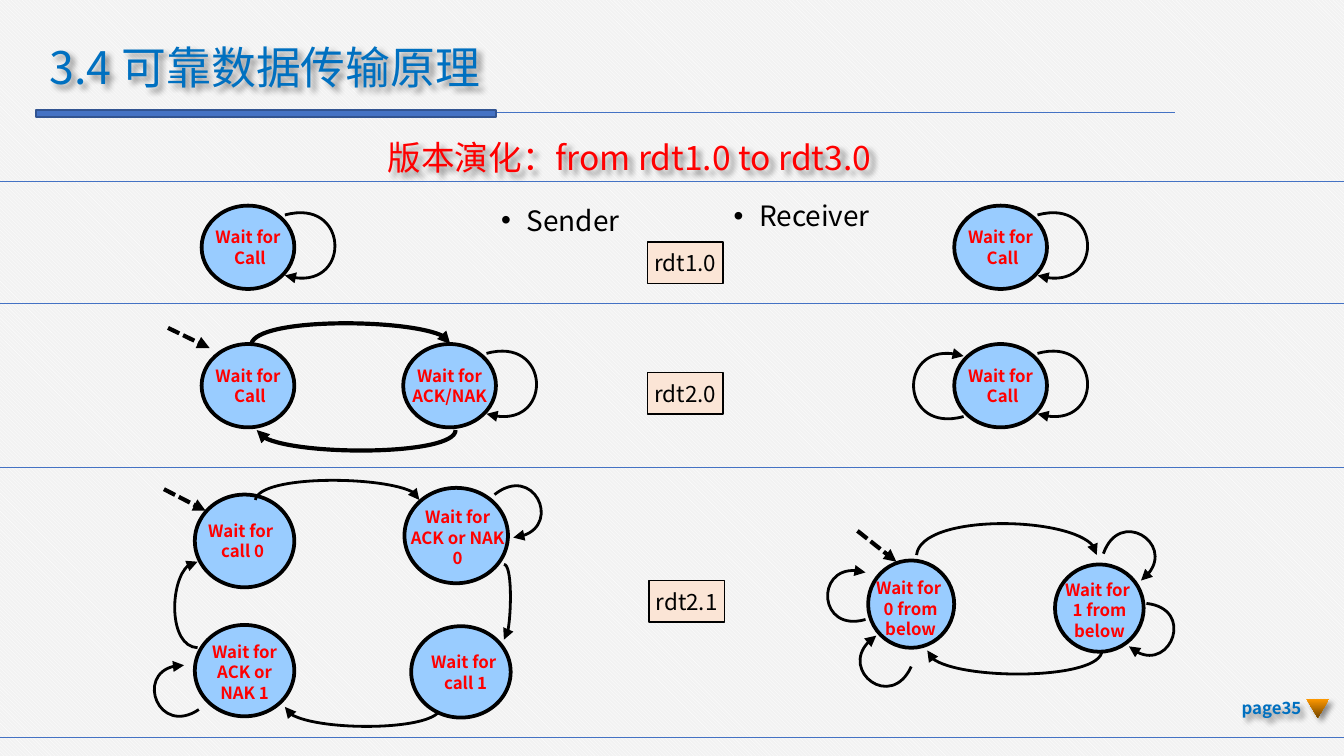
from lxml import etree
from pptx import Presentation
from pptx.dml.color import RGBColor
from pptx.enum.dml import MSO_LINE, MSO_PATTERN
from pptx.enum.shapes import MSO_CONNECTOR, MSO_SHAPE
from pptx.enum.text import MSO_ANCHOR, PP_ALIGN
from pptx.oxml import parse_xml
from pptx.oxml.ns import nsdecls, qn
from pptx.util import Inches, Pt

FONT = "Noto Sans CJK SC"
BLACK, RED, BLUE, RULE = "000000", "FF0000", "0070C0", "4472C4"
STATE_FILL, VERSION_FILL = "99CCFF", "FBE5D6"
LEFT, CENTER, RIGHT = PP_ALIGN.LEFT, PP_ALIGN.CENTER, PP_ALIGN.RIGHT
TOP, MIDDLE = MSO_ANCHOR.TOP, MSO_ANCHOR.MIDDLE
OVAL, RECTANGLE, MERGE = MSO_SHAPE.OVAL, MSO_SHAPE.RECTANGLE, MSO_SHAPE.FLOWCHART_MERGE
SHADOW = (f'<a:outerShdw {nsdecls("a")} blurRad="38100" dist="38100" dir="2700000" algn="tl">'
          '<a:srgbClr val="000000"><a:alpha val="43000"/></a:srgbClr></a:outerShdw>')

STATE_SIZE = (0.69, 0.62)
CALL = ["Wait for", " Call"]
SIMPLE_STATES = [
    (1.5, 1.53, CALL, True), (7.1, 1.53, CALL, True), (1.5, 2.56, CALL, False),
    (3, 2.56, ["Wait for", "ACK/NAK"], True), (7.1, 2.56, CALL, True),
]
SELF_LOOP = [(0.62, 0.07), (1.09, -0.06), (1.12, 0.67), (0.62, 0.52)]
SENDER_TOP_STATES = [
    ((1.45, 3.68, 0.74, 0.69), (1.4, 3.82, 0.81, 0.5), ["Wait for ", "call 0"]),
    ((3.01, 3.63, 0.77, 0.71), (2.95, 3.72, 0.91, 0.54), ["Wait for ACK or NAK 0"]),
]
OTHER_STATES = [
    ((3.06, 4.66, 0.74, 0.68), (2.99, 4.8, 0.92, 0.5), ["Wait for", " call 1"]),
    ((1.45, 4.65, 0.74, 0.68), (1.39, 4.72, 0.86, 0.5), ["Wait for ACK or NAK 1"]),
    ((6.46, 4.17, 0.64, 0.65), (6.4, 4.25, 0.75, 0.5), ["Wait for ", "0 from below"]),
    ((7.85, 4.2, 0.66, 0.65), (7.79, 4.26, 0.78, 0.5), ["Wait for ", "1 from below"]),
]
TRANSITIONS = [
    (2.25, [(1.87, 2.56), (1.91, 2.36), (3.35, 2.37), (3.35, 2.56)]),
    (2.25, [(3.39, 3.2), (3.39, 3.39), (1.95, 3.4), (1.91, 3.2)]),
    (1.5, [(7.17, 3.1), (6.7, 3.23), (6.67, 2.5), (7.17, 2.65)]),
    (1.5, [(1.9, 3.72), (1.93, 3.53), (3.12, 3.54), (3.12, 3.72)]),
    (1.5, [(3.68, 3.68), (3.97, 3.45), (4.21, 3.96), (3.82, 4)]),
    (1.5, [(1.47, 4.82), (1.25, 4.81), (1.26, 4.18), (1.47, 4.18)]),
    (1.5, [(3.28, 5.26), (3.28, 5.44), (2.15, 5.45), (2.12, 5.26)]),
    (1.5, [(3.75, 4.2), (3.81, 4.2), (3.81, 4.75), (3.75, 4.76)]),
    (1.5, [(1.48, 5.28), (1.18, 5.48), (0.98, 4.95), (1.37, 4.95)]),
    (1.5, [(8.2, 4.84), (8.2, 5.06), (6.92, 5.07), (6.9, 4.84)]),
    (1.5, [(6.44, 4.61), (6.09, 4.71), (6.06, 4.15), (6.44, 4.26)]),
    (1.5, [(8.21, 4.12), (8.33, 3.78), (8.8, 4.08), (8.49, 4.32)]),
    (1.5, [(8.53, 4.49), (8.89, 4.53), (8.69, 5.06), (8.4, 4.81)]),
    (1.5, [(6.82, 4.13), (6.85, 3.82), (8.16, 3.84), (8.16, 4.13)]),
    (1.5, [(6.78, 4.96), (6.63, 5.29), (6.19, 4.95), (6.52, 4.73)]),
]
START_ARROWS = [(1.25, 2.44, 1.56, 2.59), (1.22, 3.64, 1.53, 3.8), (6.38, 3.95, 6.67, 4.18)]
ROW_RULES = [1.35, 2.26, 3.48, 5.49]
VERSIONS = [(4.82, 1.8, "rdt1.0"), (4.82, 2.77, "rdt2.0"), (4.83, 4.32, "rdt2.1")]
ROLES = [((3.63, 1.49, 1.62, 0.36), "Sender"), ((5.36, 1.46, 1.3, 0.36), "Receiver")]


def rgb(value):
    return RGBColor.from_string(value)


def set_line(shape, color, width):
    shape.line.color.rgb = rgb(color)
    shape.line.width = Pt(width)


def add_arrowhead(shape):
    outline = shape.element.find(".//" + qn("a:ln"))
    etree.SubElement(outline, qn("a:tailEnd"), type="triangle")


def add_shadow(shape):
    shape.shadow.inherit = False
    shape.element.find(".//" + qn("a:effectLst")).append(parse_xml(SHADOW))


def write(shape, lines, size, color, bold=False, align=LEFT, anchor=TOP, wrap=True, spacing=None):
    frame = shape.text_frame
    frame.word_wrap = wrap
    frame.vertical_anchor = anchor
    frame.margin_left = frame.margin_right = Inches(0.1)
    frame.margin_top = frame.margin_bottom = Inches(0.05)
    for index, line in enumerate(lines):
        paragraph = frame.add_paragraph() if index else frame.paragraphs[0]
        paragraph.alignment = align
        if spacing:
            paragraph.line_spacing = spacing
        run = paragraph.add_run()
        run.text = line
        run.font.size = Pt(size)
        run.font.bold = bold
        run.font.color.rgb = rgb(color)
        run.font.name = FONT
        etree.SubElement(run._r.get_or_add_rPr(), qn("a:ea"), typeface=FONT)


def write_state(shape, lines, **options):
    write(shape, lines, 9, RED, bold=True, align=CENTER, spacing=Pt(11), **options)


def add_box(kind, box, fill, line_color, width):
    shape = slide.shapes.add_shape(kind, *map(Inches, box))
    shape.shadow.inherit = False
    shape.fill.solid()
    shape.fill.fore_color.rgb = rgb(fill)
    set_line(shape, line_color, width)
    return shape


def add_text(box, lines, size, color, **options):
    shape = slide.shapes.add_textbox(*map(Inches, box))
    write(shape, lines, size, color, **options)
    return shape


def add_straight(ends, color, width):
    connector = slide.shapes.add_connector(MSO_CONNECTOR.STRAIGHT, *map(Inches, ends))
    set_line(connector, color, width)
    etree.SubElement(connector.element.spPr, qn("a:effectLst"))
    return connector


def add_transition(points, width):
    start, *rest = [(Inches(x), Inches(y)) for x, y in points]
    builder = slide.shapes.build_freeform(*start)
    builder.add_line_segments(rest, close=False)
    shape = builder.convert_to_shape()
    outline = shape.element.find(".//" + qn("a:path"))
    curve = etree.SubElement(outline, qn("a:cubicBezTo"))
    for segment in outline.findall(qn("a:lnTo")):
        curve.append(segment[0])
        outline.remove(segment)
    shape.fill.background()
    set_line(shape, BLACK, width)
    shape.shadow.inherit = False
    add_arrowhead(shape)


def add_labelled_states(states):
    for oval, label, lines in states:
        add_box(OVAL, oval, STATE_FILL, BLACK, 2)
        write_state(slide.shapes.add_textbox(*map(Inches, label)), lines)


presentation = Presentation()
presentation.slide_width, presentation.slide_height = Inches(10), Inches(10 * 9 / 16)
slide = presentation.slides.add_slide(presentation.slide_layouts[6])
background = slide.background.fill
background.patterned()
background.pattern = MSO_PATTERN.DARK_DOWNWARD_DIAGONAL
background.fore_color.rgb = rgb("FFFFFF")
background.back_color.rgb = rgb("F2F2F2")

add_straight((8.74, 0.84, 0.27, 0.84), RULE, 0.5)
add_box(RECTANGLE, (0.27, 0.82, 3.42, 0.05), RULE, "325491", 1)
add_shadow(add_text((0.27, 0.3, 4.26, 0.44), ["3.4 可靠数据传输原理"], 24, BLUE,
                    anchor=MIDDLE, spacing=0.9))

for left, top, lines, loops in SIMPLE_STATES:
    state = add_box(OVAL, (left, top, *STATE_SIZE), STATE_FILL, BLACK, 2)
    write_state(state, lines, anchor=MIDDLE, wrap=False)
    if loops:
        add_transition([(left + x, top + y) for x, y in SELF_LOOP], 1.5)
add_labelled_states(SENDER_TOP_STATES)
for width, points in TRANSITIONS:
    add_transition(points, width)
add_labelled_states(OTHER_STATES)
for ends in START_ARROWS:
    arrow = add_straight(ends, BLACK, 2.25)
    arrow.line.dash_style = MSO_LINE.SQUARE_DOT
    add_arrowhead(arrow)

add_shadow(add_text((2.73, 0.97, 4.01, 0.4), [" 版本演化：from rdt1.0 to rdt3.0"], 18, RED, wrap=False))
for box, role in ROLES:
    shape = add_text(box, [role], 15, BLACK, spacing=0.9)
    properties = shape.text_frame.paragraphs[0]._p.get_or_add_pPr()
    properties.set("marL", str(Inches(0.19)))
    properties.set("indent", str(-Inches(0.19)))
    etree.SubElement(properties, qn("a:buFont"), typeface="Arial")
    etree.SubElement(properties, qn("a:buChar"), char="•")
for y in ROW_RULES:
    add_straight((0, y, 10, y), RULE, 0.5)
for left, top, version in VERSIONS:
    tag = add_box(RECTANGLE, (left, top, 0.56, 0.31), VERSION_FILL, BLACK, 0.75)
    write(tag, [version], 12, BLACK, align=CENTER, anchor=MIDDLE, wrap=False)

add_shadow(add_text((9.09, 5.12, 0.69, 0.3), ["page35"], 9, BLUE, bold=True, align=RIGHT, anchor=MIDDLE))
marker = add_box(MERGE, (9.72, 5.2, 0.17, 0.14), "FF9900", BLACK, 0.5)
marker.line.fill.background()
marker.fill.gradient()
marker.fill.gradient_angle = 270
for stop, color in zip(marker.fill.gradient_stops, ("FF9900", "764700")):
    stop.color.rgb = rgb(color)
add_shadow(marker)

presentation.save("out.pptx")
